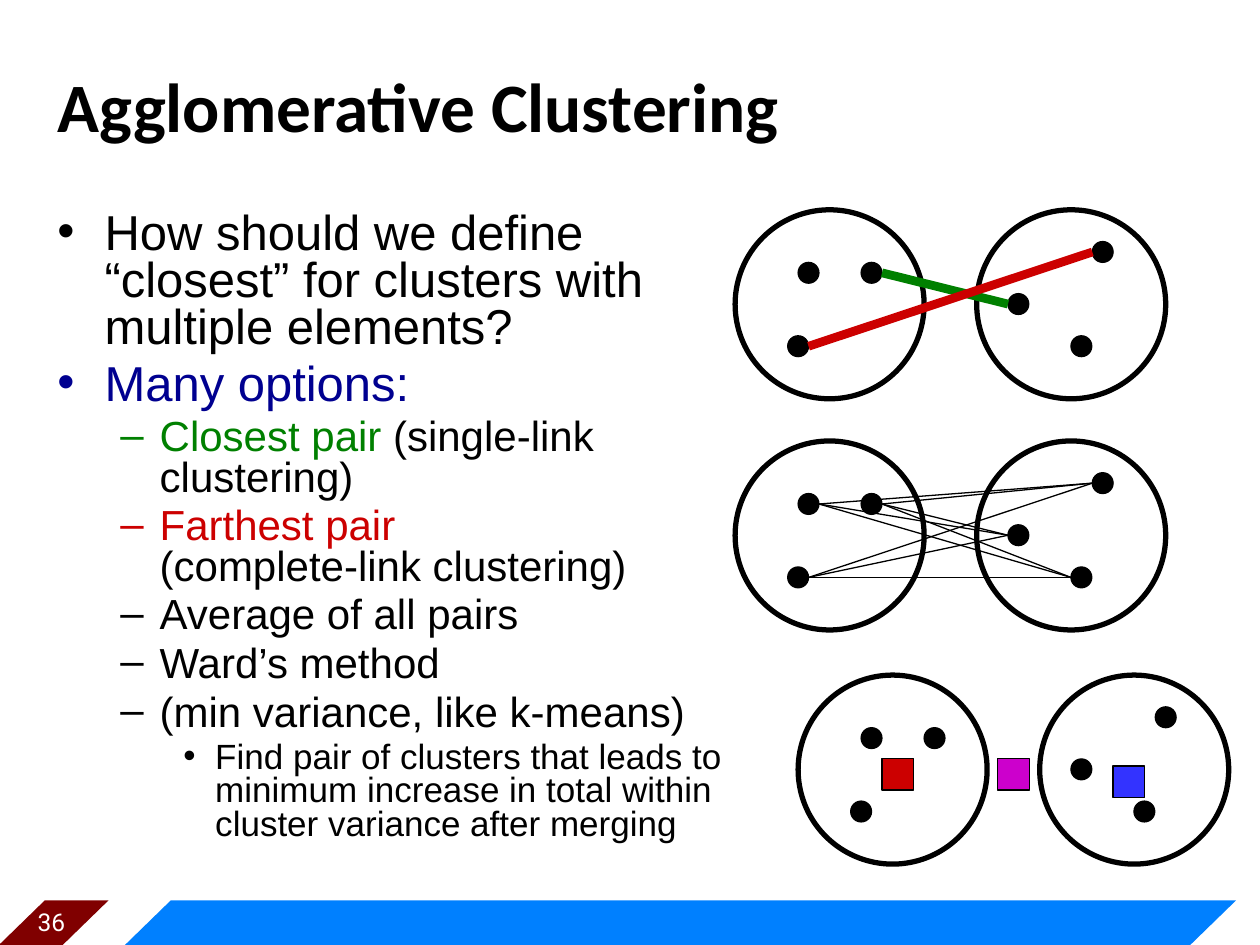
from dataclasses import dataclass
from itertools import product

from lxml.etree import SubElement
from pptx import Presentation
from pptx.dml.color import RGBColor
from pptx.enum.shapes import MSO_CONNECTOR, MSO_SHAPE
from pptx.enum.text import MSO_ANCHOR, MSO_AUTO_SIZE, PP_ALIGN
from pptx.oxml.ns import qn
from pptx.util import Cm, Pt


@dataclass(frozen=True)
class Theme:
    """Colours, fonts and type sizes of the slide."""
    black: str = "000000"
    white: str = "FFFFFF"
    blue: str = "0080FF"
    maroon: str = "800000"
    navy: str = "000090"
    green: str = "008000"
    red: str = "CC0000"
    violet: str = "CC00CC"
    indigo: str = "3333FF"
    title_font: str = "Calibri"
    body_font: str = "Arial"
    number_font: str = "Roboto"
    title_size: float = 39.6
    number_size: float = 14
    level_sizes: tuple = (28, 24, 20)


THEME = Theme()
LEVEL_BULLETS = "•–•"
LEVEL_INDENTS = ((0.95, 0.95), (2.06, 0.79), (3.18, 0.64))
CIRCLE, DOT, MARKER = 3.81, 0.42, 0.64
CIRCLE_STEP = 4.87
LEFT_DOTS = ((1.27, 1.06), (2.54, 1.06), (1.06, 2.54))
RIGHT_DOTS = ((5.5, 1.69), (6.77, 2.54), (7.2, 0.64))
SINGLE_LINK, AVERAGE_LINK, WARD = (14.82, 4.23), (14.82, 8.89), (16.09, 13.61)

OUTLINE = (
    (0, (("How should we define “closest” for clusters with multiple elements?", THEME.black),)),
    (0, (("Many options:", THEME.navy),)),
    (1, (("Closest pair ", THEME.green), ("(single-link clustering)", THEME.black))),
    (1, (("Farthest pair", THEME.red), ("\v(complete-link clustering)", THEME.black))),
    (1, (("Average of all pairs", THEME.black),)),
    (1, (("Ward’s method", THEME.black),)),
    (1, (("(min variance, like k-means)", THEME.black),)),
    (2, (("Find pair of clusters that leads to minimum increase in total "
          "within cluster variance after merging", THEME.black),)),
)


def apply(target, values):
    """Set each attribute named in values on target."""
    for name, value in values.items():
        setattr(target, name, value)


class SlideBuilder:
    """Draws styled elements on the current slide."""

    def __init__(self, slide, theme):
        """Keep the slide and its theme."""
        self.slide = slide
        self.theme = theme

    def style(self, font, name, size, color, bold=False):
        """Format a font."""
        apply(font, {"name": name, "size": Pt(size), "bold": bold})
        font.color.rgb = RGBColor.from_string(color)

    def title(self, text, left, top, width, height):
        """Place and format the title placeholder."""
        shape = self.slide.shapes.title
        apply(shape, {"left": Cm(left), "top": Cm(top), "width": Cm(width), "height": Cm(height)})
        frame = shape.text_frame
        apply(frame, {"text": text, "word_wrap": True, "auto_size": MSO_AUTO_SIZE.NONE,
                      "vertical_anchor": MSO_ANCHOR.MIDDLE})
        paragraph = frame.paragraphs[0]
        paragraph.alignment = PP_ALIGN.LEFT
        self.style(paragraph.runs[0].font, self.theme.title_font,
                   self.theme.title_size, self.theme.black, True)

    def text_frame(self, left, top, width, height):
        """Add a wrapping text box and return its frame."""
        shape = self.slide.shapes.add_textbox(Cm(left), Cm(top), Cm(width), Cm(height))
        shape.text_frame.word_wrap = True
        return shape.text_frame

    def number(self, text, left, top, width, height):
        """Add the slide number."""
        frame = self.text_frame(left, top, width, height)
        frame.vertical_anchor = MSO_ANCHOR.MIDDLE
        paragraph = frame.paragraphs[0]
        apply(paragraph, {"text": text, "alignment": PP_ALIGN.CENTER})
        self.style(paragraph.runs[0].font, self.theme.number_font,
                   self.theme.number_size, self.theme.white)

    def outline(self, items, left, top, width, height):
        """Add a bulleted outline of levels and coloured runs."""
        frame = self.text_frame(left, top, width, height)
        for index, (level, runs) in enumerate(items):
            paragraph = frame.add_paragraph() if index else frame.paragraphs[0]
            size = self.theme.level_sizes[level]
            apply(paragraph, {"level": level, "line_spacing": 0.8,
                              "space_before": Pt(0.2 * size if index else 0)})
            margin, hanging = LEVEL_INDENTS[level]
            properties = paragraph._p.get_or_add_pPr()
            properties.set("marL", str(Cm(margin)))
            properties.set("indent", str(-Cm(hanging)))
            SubElement(properties, qn("a:buFont"), typeface=self.theme.body_font)
            SubElement(properties, qn("a:buChar"), char=LEVEL_BULLETS[level])
            for text, color in runs:
                if text.startswith("\v"):
                    paragraph.add_line_break()
                run = paragraph.add_run()
                run.text = text.lstrip("\v")
                self.style(run.font, self.theme.body_font, size, color)

    def shape(self, kind, left, top, width, height, fill=None, line_width=0.75):
        """Add a preset shape; a zero line width means no outline."""
        shape = self.slide.shapes.add_shape(kind, Cm(left), Cm(top), Cm(width), Cm(height))
        shape.shadow.inherit = False
        if fill:
            shape.fill.solid()
            shape.fill.fore_color.rgb = RGBColor.from_string(fill)
        else:
            shape.fill.background()
        if line_width:
            shape.line.color.rgb = RGBColor.from_string(self.theme.black)
            shape.line.width = Pt(line_width)
        else:
            shape.line.fill.background()
        return shape

    def band(self, left, width, fill):
        """Add a slanted footer band."""
        band = self.shape(MSO_SHAPE.PARALLELOGRAM, left, 18.15, width, 0.93, fill, 0)
        band.adjustments[0] = 1.027

    def cluster_pair(self, origin):
        """Add two circles with three dots each."""
        left, top = origin
        for offset in (CIRCLE_STEP, 0):
            self.shape(MSO_SHAPE.OVAL, left + offset, top, CIRCLE, CIRCLE, line_width=3)
        for x, y in LEFT_DOTS + RIGHT_DOTS:
            self.shape(MSO_SHAPE.OVAL, left + x, top + y, DOT, DOT, self.theme.black)

    def link(self, origin, start, end, color, line_width=0.75):
        """Join the right side of one dot to the left side of another."""
        left, top = origin
        line = self.slide.shapes.add_connector(
            MSO_CONNECTOR.STRAIGHT,
            Cm(left + start[0] + DOT), Cm(top + start[1] + DOT / 2),
            Cm(left + end[0]), Cm(top + end[1] + DOT / 2))
        line.line.color.rgb = RGBColor.from_string(color)
        line.line.width = Pt(line_width)
        SubElement(line._element.spPr, qn("a:effectLst"))

    def marker(self, left, top, fill):
        """Add a square cluster mean."""
        self.shape(MSO_SHAPE.RECTANGLE, left, top, MARKER, MARKER, fill)


def main():
    """Build and save the slide."""
    presentation = Presentation()
    apply(presentation, {"slide_width": Cm(25.4), "slide_height": Cm(19.05)})
    slide = presentation.slides.add_slide(presentation.slide_layouts.get_by_name("Title Only"))
    builder = SlideBuilder(slide, THEME)

    builder.band(2.49, 22.43, THEME.blue)
    builder.band(-0.05, 2.24, THEME.maroon)
    builder.number("36", 0.3, 18.15, 1.47, 0.86)
    builder.title("Agglomerative Clustering", 0.91, 1.14, 23.8, 1.96)
    builder.outline(OUTLINE, 0.91, 4.17, 13.9, 13.08)

    for origin in (SINGLE_LINK, AVERAGE_LINK, WARD):
        builder.cluster_pair(origin)
    builder.link(SINGLE_LINK, LEFT_DOTS[1], RIGHT_DOTS[0], THEME.green, 5)
    builder.link(SINGLE_LINK, LEFT_DOTS[2], RIGHT_DOTS[2], THEME.red, 5)
    for start, end in product(LEFT_DOTS, RIGHT_DOTS):
        builder.link(AVERAGE_LINK, start, end, THEME.black)
    for left, top, fill in ((17.78, 15.29, THEME.red), (22.44, 15.44, THEME.indigo),
                            (20.11, 15.29, THEME.violet)):
        builder.marker(left, top, fill)

    presentation.save("out.pptx")


if __name__ == "__main__":
    main()
